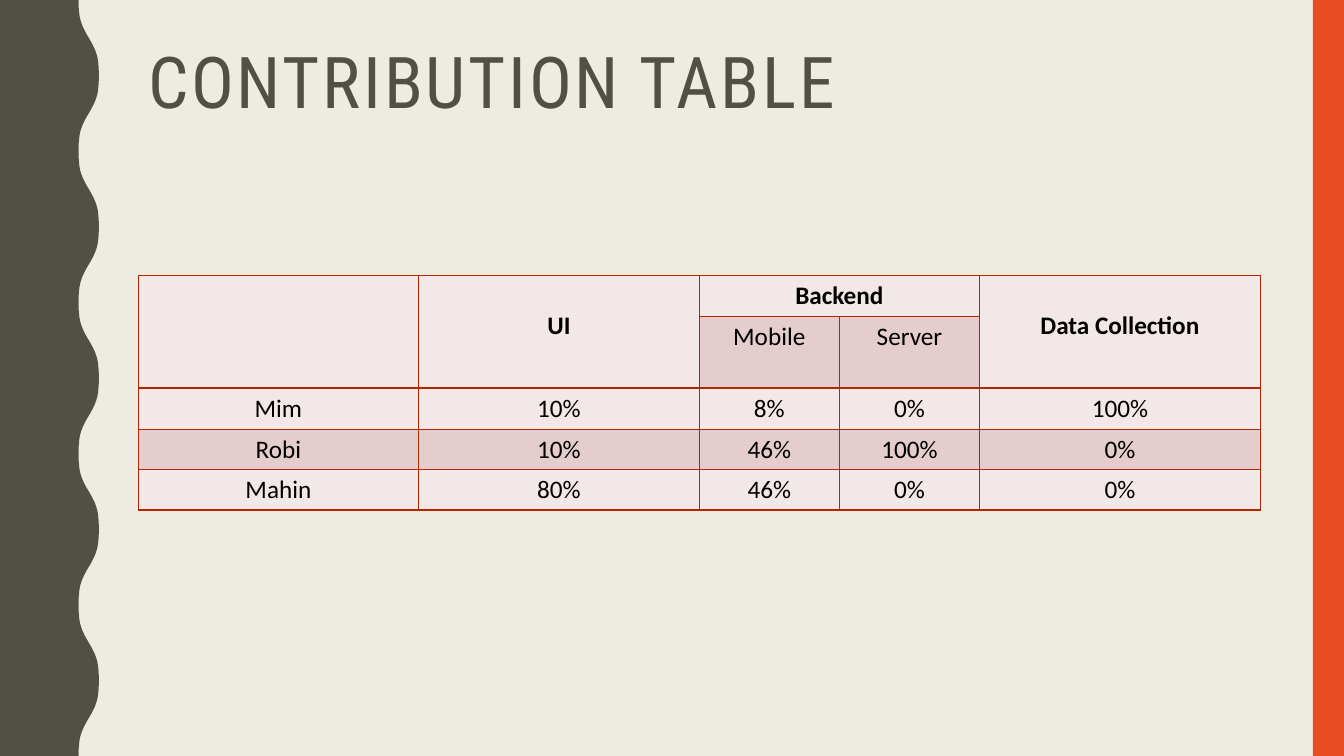
import math

import pptx
import pptx.dml.color
import pptx.enum.shapes
import pptx.enum.text
import pptx.oxml
import pptx.oxml.ns
import pptx.util

WIDTH, HEIGHT = 13.33, 7.5
OLIVE, ORANGE, CREAM = "505046", "E84C22", "EEECE1"
BORDER, BANDS, INK = "B22600", ("F2E8E7", "E4CDCC"), "000000"
LEFT, CONTENT_WIDTH = 1.37, 11.13
WAVES, STEPS_PER_WAVE = 5, 40
HEADER_ROWS = 2
COLUMN_SHARES = (2, 2, 1, 1, 2)
ROW_HEIGHTS = (0.41, 0.71, 0.41, 0.4, 0.4)
CONTRIBUTIONS = (
    ("", "UI", "Backend", "", "Data Collection"),
    ("", "", "Mobile", "Server", ""),
    ("Mim", "10%", "8%", "0%", "100%"),
    ("Robi", "10%", "46%", "100%", "0%"),
    ("Mahin", "80%", "46%", "0%", "0%"),
)


def color(hex_value):
    """Return the RGB colour of a hex string."""
    return pptx.dml.color.RGBColor.from_string(hex_value)


def inches(*lengths):
    """Convert lengths in inches to slide units."""
    return [pptx.util.Inches(length) for length in lengths]


def apply(target, values):
    """Set every attribute named in a dict of format values."""
    for name, value in values.items():
        setattr(target, name, value)


def paint(shape, hex_value):
    """Give a shape a flat fill without line or shadow."""
    shape.fill.solid()
    shape.fill.fore_color.rgb = color(hex_value)
    shape.line.fill.background()
    shape.shadow.inherit = False


def write(paragraph, text, hex_value, font, layout):
    """Put one formatted run in a paragraph and return its font."""
    run = paragraph.add_run()
    run.text = text
    run.font.color.rgb = color(hex_value)
    apply(run.font, font)
    apply(paragraph, layout)
    return run.font


def wave_x(angle):
    """Return the band's right edge, a cosine with straightened flanks."""
    return 0.88 - 0.11 * math.cos(angle) + 0.01 * math.cos(3 * angle)


def add_wavy_edge(slide):
    """Draw the left band whose right edge repeats one wave."""
    steps = WAVES * STEPS_PER_WAVE
    edge = [(wave_x(math.tau * step / STEPS_PER_WAVE), HEIGHT * step / steps)
            for step in range(steps + 1)]
    outline = [(x * 1000, y * 1000) for x, y in edge + [(0, HEIGHT)]]
    builder = slide.shapes.build_freeform(0, 0, scale=pptx.util.Inches(1) / 1000)
    builder.add_line_segments(outline, close=True)
    paint(builder.convert_to_shape(), OLIVE)


def add_side_bar(slide):
    """Draw the narrow bar along the right edge."""
    bar_width = 0.31
    bar = slide.shapes.add_shape(
        pptx.enum.shapes.MSO_SHAPE.RECTANGLE,
        *inches(WIDTH - bar_width, 0, bar_width, HEIGHT))
    paint(bar, ORANGE)


def add_title(slide, text):
    """Write the spaced-out heading."""
    frame = slide.shapes.add_textbox(*inches(LEFT, 0.39, CONTENT_WIDTH, 0.92)).text_frame
    apply(frame, {"word_wrap": True,
                  "vertical_anchor": pptx.enum.text.MSO_ANCHOR.MIDDLE})
    font = write(frame.paragraphs[0], text, OLIVE,
                 {"name": "Roboto Condensed", "size": pptx.util.Pt(51)},
                 {"line_spacing": 0.9})
    font._element.set("spc", "200")


def border_cell(cell):
    """Draw a thin line on all four sides of a cell."""
    properties = cell._tc.get_or_add_tcPr()
    namespace = pptx.oxml.ns.nsdecls("a")
    for index, side in enumerate(("lnL", "lnR", "lnT", "lnB")):
        properties.insert(index, pptx.oxml.parse_xml(
            f'<a:{side} {namespace} w="12700"><a:solidFill>'
            f'<a:srgbClr val="{BORDER}"/></a:solidFill></a:{side}>'))


def add_contribution_table(slide):
    """Build the table with its two-level header and banded rows."""
    table = slide.shapes.add_table(
        len(ROW_HEIGHTS), len(COLUMN_SHARES),
        *inches(LEFT, 2.73, CONTENT_WIDTH, sum(ROW_HEIGHTS))).table
    for column, share in zip(table.columns, COLUMN_SHARES):
        column.width = pptx.util.Inches(CONTENT_WIDTH * share / sum(COLUMN_SHARES))
    for row, height in zip(table.rows, ROW_HEIGHTS):
        row.height = pptx.util.Inches(height)

    tall_headers = (0, 1, 4)
    for column in tall_headers:
        table.cell(0, column).merge(table.cell(HEADER_ROWS - 1, column))
    table.cell(0, 2).merge(table.cell(0, 3))

    for row, labels in enumerate(CONTRIBUTIONS):
        for column, label in enumerate(labels):
            cell = table.cell(row, column)
            cell.fill.solid()
            cell.fill.fore_color.rgb = color(BANDS[row % 2])
            border_cell(cell)
            if label:
                tall = row == 0 and column in tall_headers
                write(cell.text_frame.paragraphs[0], label, INK,
                      {"name": "Calibri", "size": pptx.util.Pt(18), "bold": row == 0},
                      {"alignment": pptx.enum.text.PP_ALIGN.CENTER,
                       "line_spacing": 2.0 if tall else 1.0})


def main():
    """Build the slide and save it."""
    deck = pptx.Presentation()
    apply(deck, {"slide_width": pptx.util.Inches(WIDTH),
                 "slide_height": pptx.util.Inches(HEIGHT)})
    slide = deck.slides.add_slide(deck.slide_layouts[6])
    slide.background.fill.solid()
    slide.background.fill.fore_color.rgb = color(CREAM)
    add_wavy_edge(slide)
    add_side_bar(slide)
    add_title(slide, "CONTRIBUTION TABLE")
    add_contribution_table(slide)
    deck.save("out.pptx")


main()
